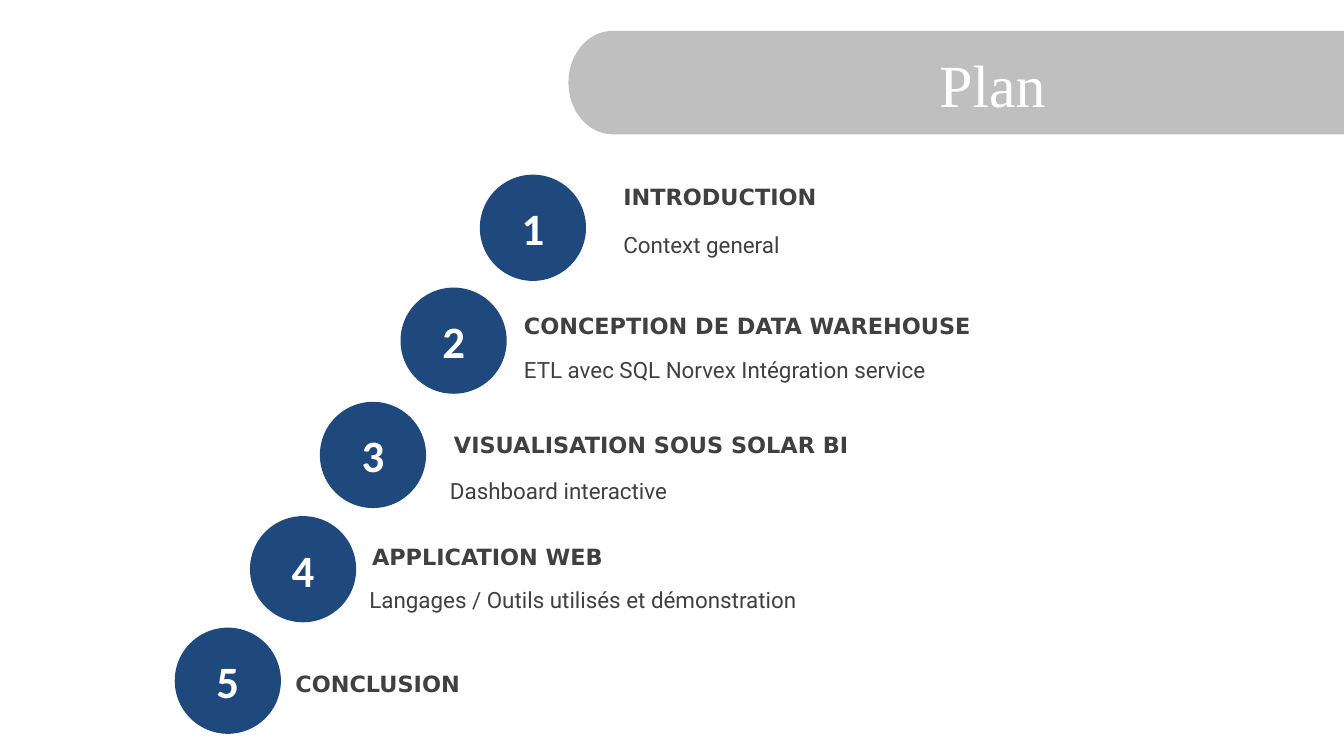
from math import cos, pi, sin

from pptx import Presentation
from pptx.dml.color import RGBColor
from pptx.enum.shapes import MSO_SHAPE
from pptx.enum.text import MSO_ANCHOR, PP_ALIGN
from pptx.util import Inches, Pt

OVAL = MSO_SHAPE.OVAL
MIDDLE = MSO_ANCHOR.MIDDLE
LEFT, CENTER = PP_ALIGN.LEFT, PP_ALIGN.CENTER

# Theme: colours, and (font, size, bold, colour) for each text style
THEME = {
    "banner": RGBColor(0xBF, 0xBF, 0xBF),
    "circle": RGBColor(0x1F, 0x49, 0x7D),
    "title": ("Times New Roman", 32, False, RGBColor(0xFF, 0xFF, 0xFF)),
    "number": ("Calibri", 24, True, RGBColor(0xFF, 0xFF, 0xFF)),
    "heading": ("DejaVu Sans", 12, True, RGBColor(0x40, 0x40, 0x40)),
    "detail": ("Roboto", 12, False, RGBColor(0x40, 0x40, 0x40)),
}


def paint(shape, color):
    shape.shadow.inherit = False
    shape.fill.solid()
    shape.fill.fore_color.rgb = color
    shape.line.fill.background()


def write(shape, text, style, align):
    tf = shape.text_frame
    tf.word_wrap = True
    tf.vertical_anchor = MIDDLE
    p = tf.paragraphs[0]
    p.alignment = align
    r = p.add_run()
    r.text = text
    r.font.name, size, r.font.bold, r.font.color.rgb = THEME[style]
    r.font.size = Pt(size)


# Widescreen slide, 16:9
prs = Presentation()
prs.slide_width = Inches(10)
prs.slide_height = prs.slide_width * 9 // 16
s = prs.slides.add_slide(prs.slide_layouts[5])

# Banner with a rounded left end
top, bottom, bend, radius = 0.23, 1, 4.56, 0.33
middle, half = (top + bottom) / 2, (bottom - top) / 2
steps = 40
arc = [(Inches(bend - radius * sin(pi * i / steps)),
        Inches(middle + half * cos(pi * i / steps))) for i in range(steps + 1)]
outline = s.shapes.build_freeform(Inches(10), Inches(top))
outline.add_line_segments([(Inches(10), Inches(bottom))] + arc, close=True)
banner = outline.convert_to_shape()
paint(banner, THEME["banner"])

# Title, in front of the banner
title = s.shapes.title
title.left, title.top = Inches(4.77), Inches(0.39)
title.width, title.height = Inches(5.23), Inches(0.47)
write(title, "Plan", "title", CENTER)
banner.element.addnext(title.element)

# Steps: circle position, then (left, top, text) of heading and detail
DIAMETER = 0.79
STEPS = [
    (3.57, 1.3, (4.54, 1.31, "INTRODUCTION"), (4.54, 1.67, "Context general")),
    (2.98, 2.14, (3.8, 2.27, "CONCEPTION DE DATA WAREHOUSE"),
     (3.8, 2.6, "ETL avec SQL Norvex Intégration service")),
    (2.38, 2.99, (3.28, 3.16, "VISUALISATION SOUS SOLAR BI"),
     (3.25, 3.5, "Dashboard interactive")),
    (1.86, 3.84, (2.67, 3.99, "APPLICATION WEB"),
     (2.65, 4.31, "Langages / Outils utilisés et démonstration")),
    (1.3, 4.67, (2.1, 4.94, "CONCLUSION")),
]
for number, (x, y, *labels) in enumerate(STEPS, 1):
    circle = s.shapes.add_shape(OVAL, Inches(x), Inches(y),
                                Inches(DIAMETER), Inches(DIAMETER))
    paint(circle, THEME["circle"])
    write(circle, str(number), "number", CENTER)
    for style, (left, label_top, text) in zip(("heading", "detail"), labels):
        label = s.shapes.add_textbox(Inches(left), Inches(label_top),
                                     Inches(5.04), Inches(0.3))
        write(label, text, style, LEFT)

prs.save("out.pptx")
